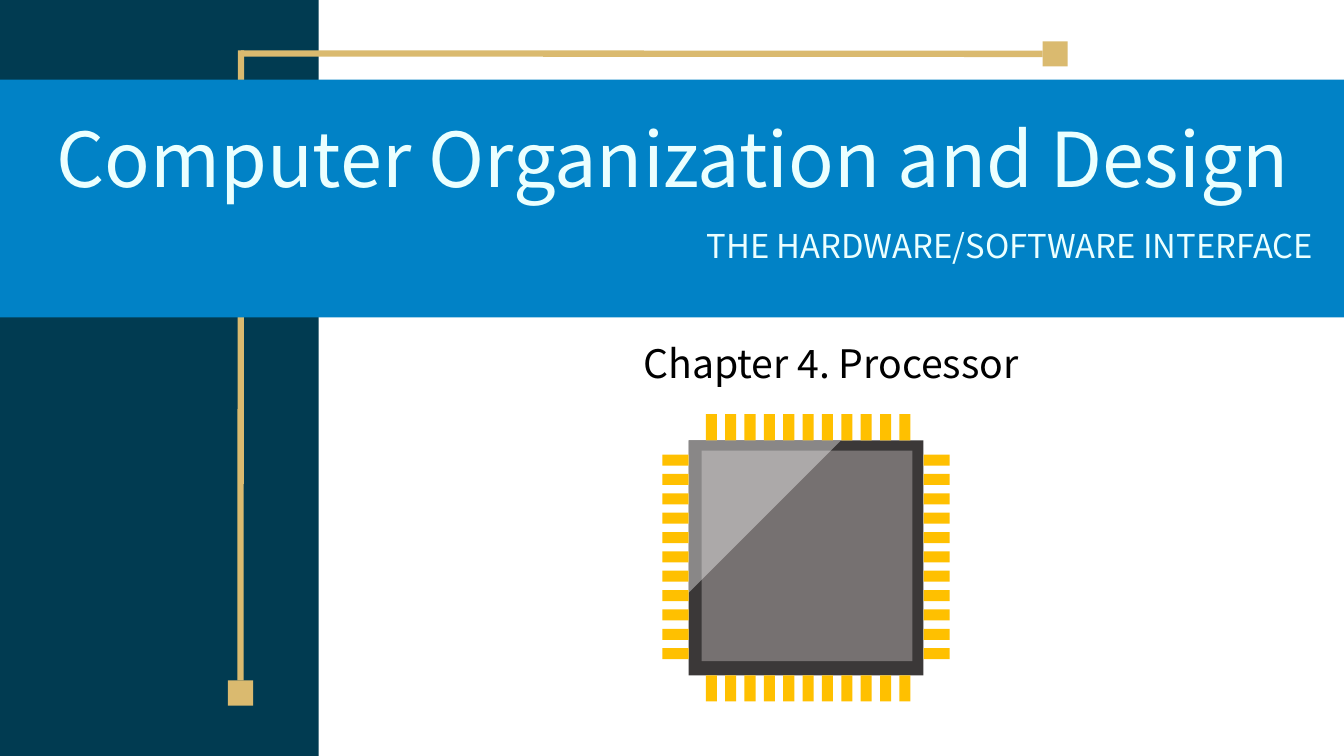
from lxml import etree
from pptx import Presentation
from pptx.dml.color import RGBColor
from pptx.enum.shapes import MSO_CONNECTOR, MSO_SHAPE
from pptx.enum.text import MSO_ANCHOR, PP_ALIGN
from pptx.oxml.ns import qn
from pptx.util import Inches, Pt

RECTANGLE = MSO_SHAPE.RECTANGLE
STRAIGHT = MSO_CONNECTOR.STRAIGHT
CENTER = PP_ALIGN.CENTER
TOP, BOTTOM = MSO_ANCHOR.TOP, MSO_ANCHOR.BOTTOM
TOP_SIDE, LEFT_SIDE = 0, 1

NAVY, BLUE, SAND, ICE = "013B51", "0182C6", "DABA6F", "EBFFFF"
CHIP_EDGE, CHIP_FACE, PIN_GOLD = "3B3838", "767171", "FFC000"
BLACK, WHITE = "000000", "FFFFFF"


def color(value):
    return RGBColor.from_string(value)


class SlideBuilder:
    font = "Noto Sans CJK KR"
    line_spacing = 0.9

    def __init__(self, slide):
        self.slide = slide

    def paint(self, shape, fill):
        shape.shadow.inherit = False
        shape.fill.solid()
        shape.fill.fore_color.rgb = color(fill)
        shape.line.fill.background()
        return shape

    def rectangle(self, left, top, width, height, fill):
        shape = self.slide.shapes.add_shape(
            RECTANGLE, Inches(left), Inches(top), Inches(width), Inches(height))
        return self.paint(shape, fill)

    def line(self, start, end, stroke, width):
        connector = self.slide.shapes.add_connector(
            STRAIGHT, *(Inches(value) for value in (*start, *end)))
        connector.line.color.rgb = color(stroke)
        connector.line.width = Pt(width)
        etree.SubElement(connector._element.spPr, qn("a:effectLst"))
        return connector

    def polygon(self, points, fill, opacity):
        corners = [(Inches(x), Inches(y)) for x, y in points]
        builder = self.slide.shapes.build_freeform(*corners[0])
        builder.add_line_segments(corners[1:], close=True)
        shape = self.paint(builder.convert_to_shape(), fill)
        rgb = shape._element.spPr.find(qn("a:solidFill"))[0]
        etree.SubElement(rgb, qn("a:alpha"), val=str(opacity * 1000))

    def text(self, left, top, width, height, wording, size, ink, anchor):
        shape = self.slide.shapes.add_textbox(
            Inches(left), Inches(top), Inches(width), Inches(height))
        frame = shape.text_frame
        frame.word_wrap = True
        frame.vertical_anchor = anchor
        paragraph = frame.paragraphs[0]
        paragraph.text = wording
        paragraph.alignment = CENTER
        paragraph.line_spacing = self.line_spacing
        paragraph.font.name = self.font
        paragraph.font.size = Pt(size)
        paragraph.font.color.rgb = color(ink)


def main():
    presentation = Presentation()
    presentation.slide_width = Inches(13.33)
    presentation.slide_height = Inches(7.5)
    slide = presentation.slides.add_slide(presentation.slide_layouts[6])
    builder = SlideBuilder(slide)

    # Side column and the sand-coloured lines with square ends
    builder.rectangle(0, 0, 3.16, 7.5, NAVY)
    right_knob = builder.rectangle(10.34, 0.41, 0.25, 0.25, SAND)
    bottom_knob = builder.rectangle(2.26, 6.75, 0.25, 0.25, SAND)
    vertical = builder.line((2.39, 6.75), (2.39, 0.5), SAND, 4.5)
    vertical.begin_connect(bottom_knob, TOP_SIDE)
    horizontal = builder.line((10.34, 0.53), (2.39, 0.53), SAND, 4.5)
    horizontal.begin_connect(right_knob, LEFT_SIDE)

    # Title band and headings
    builder.rectangle(0, 0.79, 13.33, 2.36, BLUE)
    builder.text(0.1, 0.94, 13.14, 1.13, "Computer Organization and Design",
                 54, ICE, BOTTOM)
    builder.text(6.88, 2.07, 6.27, 0.61, "THE HARDWARE/SOFTWARE INTERFACE",
                 23.4, ICE, BOTTOM)
    builder.text(3.49, 3.37, 9.5, 0.71, "Chapter 4. Processor",
                 28, BLACK, TOP)

    # Processor body
    chip_left, chip_top, chip_size = 6.83, 4.37, 2.33
    builder.rectangle(chip_left, chip_top, chip_size, chip_size, CHIP_EDGE)
    builder.rectangle(6.96, 4.47, 2.09, 2.09, CHIP_FACE)

    # Eleven pins along each side
    pin_count, pin_width, pin_length = 11, 0.11, 0.26
    pitch = 1.92 / (pin_count - 1)
    for index in range(pin_count):
        pin_left = 7 + index * pitch
        pin_top = 4.51 + index * pitch
        for top in (chip_top - pin_length, chip_top + chip_size):
            builder.rectangle(pin_left, top, pin_width, pin_length, PIN_GOLD)
        for left in (chip_left - pin_length, chip_left + chip_size):
            builder.rectangle(left, pin_top, pin_length, pin_width, PIN_GOLD)

    # Glossy corner
    builder.polygon([(6.83, 4.37), (8.34, 4.37), (6.83, 5.88)], WHITE, 40)

    presentation.save("out.pptx")


if __name__ == "__main__":
    main()
